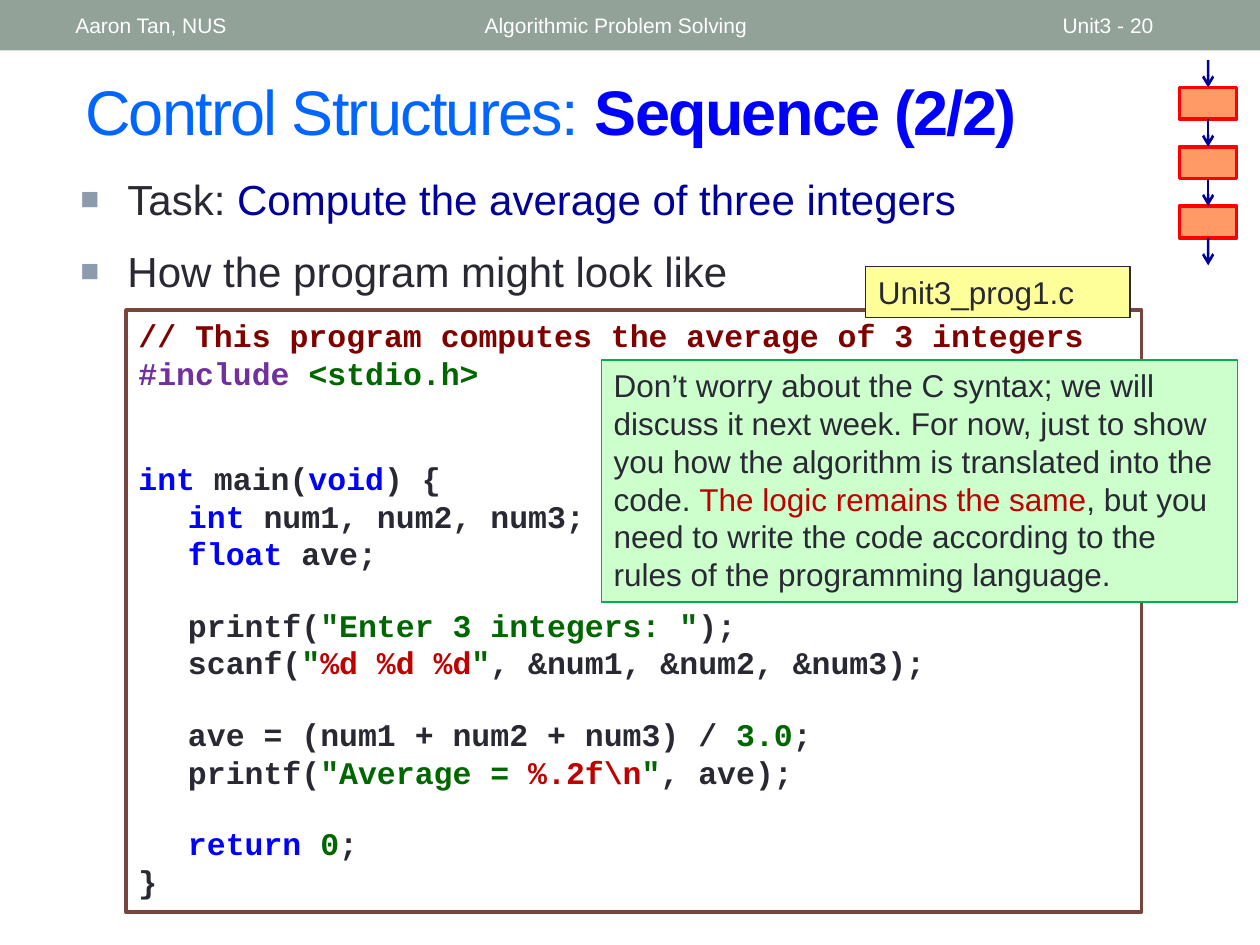
import lxml.etree
import pptx
import pptx.dml.color
import pptx.enum.shapes
import pptx.enum.text
import pptx.oxml.ns
import pptx.util

Cm, Pt = pptx.util.Cm, pptx.util.Pt
RGBColor = pptx.dml.color.RGBColor
ANCHOR = pptx.enum.text.MSO_ANCHOR
RECTANGLE = pptx.enum.shapes.MSO_SHAPE.RECTANGLE
STRAIGHT = pptx.enum.shapes.MSO_CONNECTOR.STRAIGHT
qn = pptx.oxml.ns.qn

WHITE = RGBColor(0xFF, 0xFF, 0xFF)
INK = RGBColor(0x29, 0x29, 0x34)
SAGE = RGBColor(0x93, 0xA2, 0x99)
SKY = RGBColor(0x00, 0x66, 0xFF)
BLUE = RGBColor(0x00, 0x00, 0xFF)
NAVY = RGBColor(0x00, 0x00, 0x99)
BULLET = RGBColor(0x8C, 0x9C, 0xAD)
BROWN = RGBColor(0x79, 0x46, 0x3D)
MAROON = RGBColor(0x80, 0x00, 0x00)
PURPLE = RGBColor(0x70, 0x30, 0xA0)
GREEN = RGBColor(0x00, 0x66, 0x00)
CRIMSON = RGBColor(0xC0, 0x00, 0x00)
YELLOW = RGBColor(0xFF, 0xFF, 0x99)
ORANGE = RGBColor(0xFF, 0x99, 0x66)
RED = RGBColor(0xFF, 0x00, 0x00)
MINT = RGBColor(0xCC, 0xFF, 0xCC)
EMERALD = RGBColor(0x00, 0xB0, 0x50)

# Each entry: blank lines above, then the coloured pieces of the line.
CODE = [
    (0, [("// This program computes the average of 3 integers", MAROON)]),
    (0, [("#include ", PURPLE), ("<stdio.h>", GREEN)]),
    (2, [("int", BLUE), (" main(", INK), ("void", BLUE), (") {", INK)]),
    (0, [("\t", INK), ("int", BLUE), (" num1, num2, num3;", INK)]),
    (0, [("\t", INK), ("float ", BLUE), ("ave;", INK)]),
    (1, [("\tprintf(", INK), ('"Enter 3 integers: "', GREEN), (");", INK)]),
    (0, [("\tscanf(", INK), ('"', GREEN), ("%d %d %d", CRIMSON), ('"', GREEN),
         (", &num1, &num2, &num3);", INK)]),
    (1, [("\tave = (num1 + num2 + num3) / ", INK), ("3.0", GREEN), (";", INK)]),
    (0, [("\tprintf(", INK), ('"Average = ', GREEN), ("%.2f\\n", CRIMSON),
         ('"', GREEN), (", ave);", INK)]),
    (1, [("\t", INK), ("return ", BLUE), ("0", GREEN), (";", INK)]),
    (0, [("}", INK)]),
]
TASKS = [
    [("Task: ", INK), ("Compute the average of three integers", NAVY)],
    [("How the program might look like", INK)],
]
NOTE = [
    ("Don’t worry about the C syntax; we will discuss it next week. For now, "
     "just to show you how the algorithm is translated into the code. ", INK),
    ("The logic remains the same", CRIMSON),
    (", but you need to write the code according to the rules of the "
     "programming language.", INK),
]


def add_runs(paragraph, pieces, size, font="Arial", bold=False):
    for text, color in pieces:
        run = paragraph.add_run()
        run.text = text
        run.font.name = font
        run.font.size = Pt(size)
        run.font.bold = bold
        run.font.color.rgb = color


def add_panel(shapes, box, fill, outline=None, weight=0.75):
    panel = shapes.add_shape(RECTANGLE, *map(Cm, box))
    panel.shadow.inherit = False
    panel.fill.solid()
    panel.fill.fore_color.rgb = fill
    if outline is None:
        panel.line.fill.background()
    else:
        panel.line.color.rgb = outline
        panel.line.width = Pt(weight)
    frame = panel.text_frame
    frame.word_wrap = True
    frame.vertical_anchor = ANCHOR.TOP
    frame.paragraphs[0].alignment = pptx.enum.text.PP_ALIGN.LEFT
    return panel


def add_text_frame(shapes, box, anchor=ANCHOR.TOP):
    frame = shapes.add_textbox(*map(Cm, box)).text_frame
    frame.word_wrap = True
    frame.vertical_anchor = anchor
    return frame


def next_paragraph(frame, index):
    return frame.add_paragraph() if index else frame.paragraphs[0]


def add_header(shapes, box):
    left, top, _, height = box
    add_panel(shapes, box, SAGE)
    for offset, width, label in [
        (1.27, 8.04, "Aaron Tan, NUS"),
        (9.52, 11.43, "Algorithmic Problem Solving"),
        (21.17, 2.96, "Unit3 - 20"),
    ]:
        label_box = (left + offset, top + 0.05, width, height - 0.1)
        frame = add_text_frame(shapes, label_box, ANCHOR.MIDDLE)
        add_runs(frame.paragraphs[0], [(label, WHITE)], 12)


def add_title(shapes, box):
    heading = add_text_frame(shapes, box, ANCHOR.MIDDLE).paragraphs[0]
    add_runs(heading, [("Control Structures: ", SKY)], 36)
    add_runs(heading, [("Sequence (2/2)", BLUE)], 36, bold=True)
    for run in heading.runs:
        run.font._element.set("spc", "-100")


def add_tasks(shapes, box):
    frame = add_text_frame(shapes, box)
    for index, pieces in enumerate(TASKS):
        task = next_paragraph(frame, index)
        properties = task._p.get_or_add_pPr()
        properties.set("marL", str(Cm(0.95)))
        properties.set("indent", str(-Cm(0.95)))
        bullet_color = lxml.etree.SubElement(properties, qn("a:buClr"))
        lxml.etree.SubElement(bullet_color, qn("a:srgbClr"), val=str(BULLET))
        lxml.etree.SubElement(properties, qn("a:buSzPct"), val="75000")
        lxml.etree.SubElement(properties, qn("a:buFont"), typeface="Arial")
        lxml.etree.SubElement(properties, qn("a:buChar"), char="■")
        if index:
            task.space_before = Pt(12)
        add_runs(task, pieces, 24)


def add_program(shapes, box):
    """Code listing with its file name on a tag over the top right corner."""
    left, top, width, _ = box
    program = shapes.add_group_shape().shapes
    frame = add_panel(program, box, WHITE, BROWN, 2.08).text_frame
    for index, (blank_lines, pieces) in enumerate(CODE):
        line = next_paragraph(frame, index)
        tabs = lxml.etree.SubElement(line._p.get_or_add_pPr(), qn("a:tabLst"))
        for stop in (1, 2, 3):
            lxml.etree.SubElement(tabs, qn("a:tab"), pos=str(Cm(stop)), algn="l")
        line.alignment = pptx.enum.text.PP_ALIGN.LEFT
        line.line_spacing = Pt(21.5)
        if blank_lines:
            line.space_before = Pt(19.4 * blank_lines)
        add_runs(line, pieces, 18, "Courier New", bold=True)

    tag_box = (left + width - 5.56, top - 0.87, 5.33, 1.02)
    tag = add_panel(program, tag_box, YELLOW, INK)
    add_runs(tag.text_frame.paragraphs[0], [("Unit3_prog1.c", INK)], 18)


def add_arrow(shapes, x, top, bottom):
    arrow = shapes.add_connector(STRAIGHT, Cm(x), Cm(top), Cm(x), Cm(bottom))
    arrow.line.color.rgb = NAVY
    arrow.line.width = Pt(1.5)
    properties = arrow._element.spPr
    lxml.etree.SubElement(properties.find(qn("a:ln")), qn("a:tailEnd"), type="arrow")
    lxml.etree.SubElement(properties, qn("a:effectLst"))
    return arrow


def add_sequence_flow(shapes, box, count=3):
    """Column of equal steps with an arrow before, between and after them."""
    left, top, width, height = box
    step_height = 0.64
    gap = (height - count * step_height) / (count + 1)
    pitch = step_height + gap
    flow = shapes.add_group_shape().shapes
    steps = [
        add_panel(flow, (left, top + gap + i * pitch, width, step_height),
                  ORANGE, RED, 2.08)
        for i in range(count)
    ]
    for i in range(count + 1):
        start = top + i * pitch
        arrow = add_arrow(flow, left + width / 2, start, start + gap)
        if i > 0:
            arrow.begin_connect(steps[i - 1], 2)
        if i < count:
            arrow.end_connect(steps[i], 0)


def add_note(shapes, box):
    note = add_panel(shapes, box, MINT, EMERALD).text_frame.paragraphs[0]
    note.line_spacing = Pt(21.6)
    add_runs(note, NOTE, 18)


def main():
    deck = pptx.Presentation()
    deck.slide_width, deck.slide_height = Cm(25.4), Cm(19.05)
    shapes = deck.slides.add_slide(deck.slide_layouts[6]).shapes
    add_header(shapes, (0, 0, 25.4, 1.02))
    add_title(shapes, (1.47, 1.27, 22.66, 1.9))
    add_tasks(shapes, (1.37, 3.38, 22.61, 3.12))
    add_program(shapes, (2.54, 6.25, 20.47, 12.14))
    add_sequence_flow(shapes, (23.78, 1.21, 1.15, 4.14))
    add_note(shapes, (12.12, 7.26, 12.83, 4.88))
    deck.save("out.pptx")


if __name__ == "__main__":
    main()
